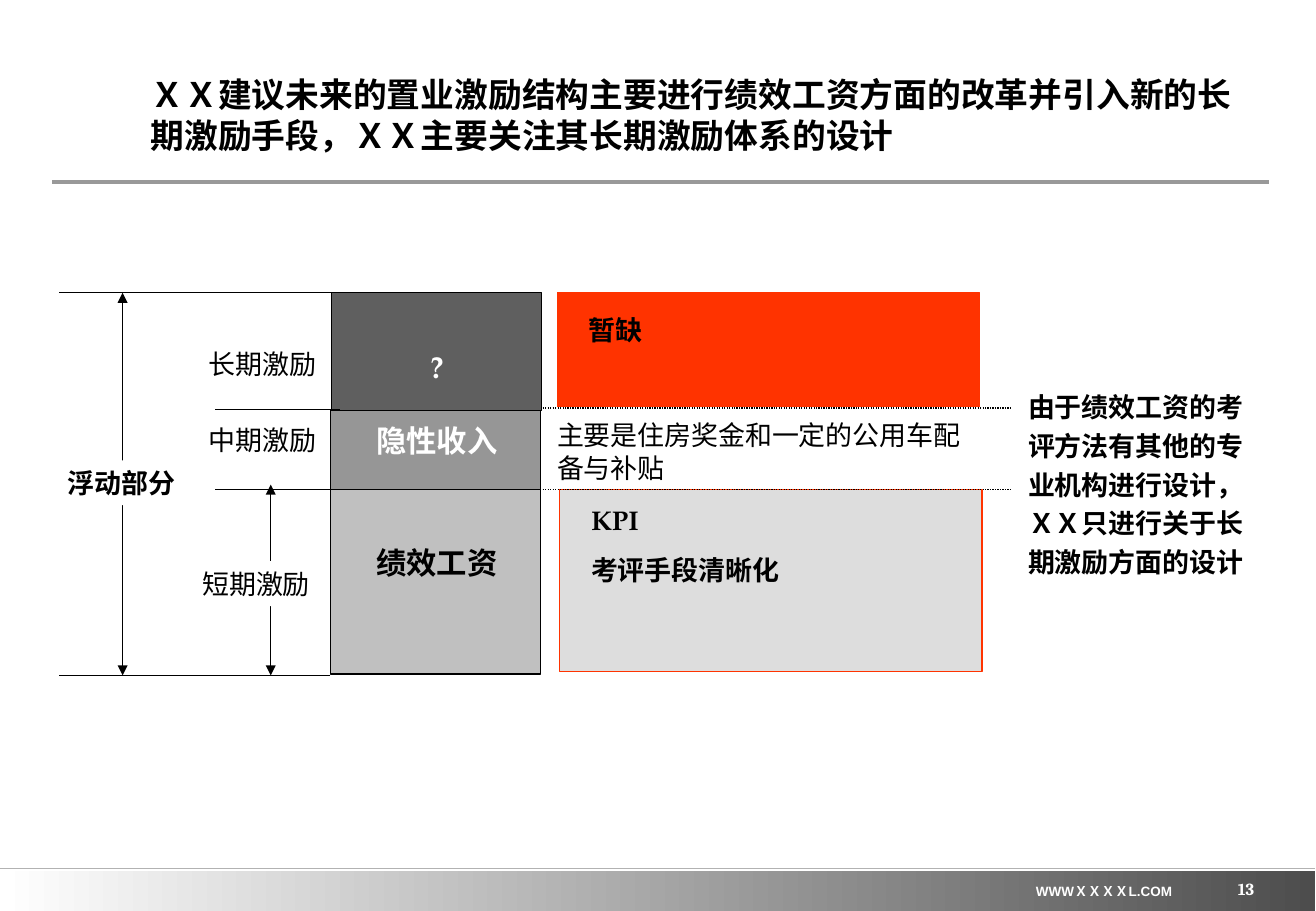
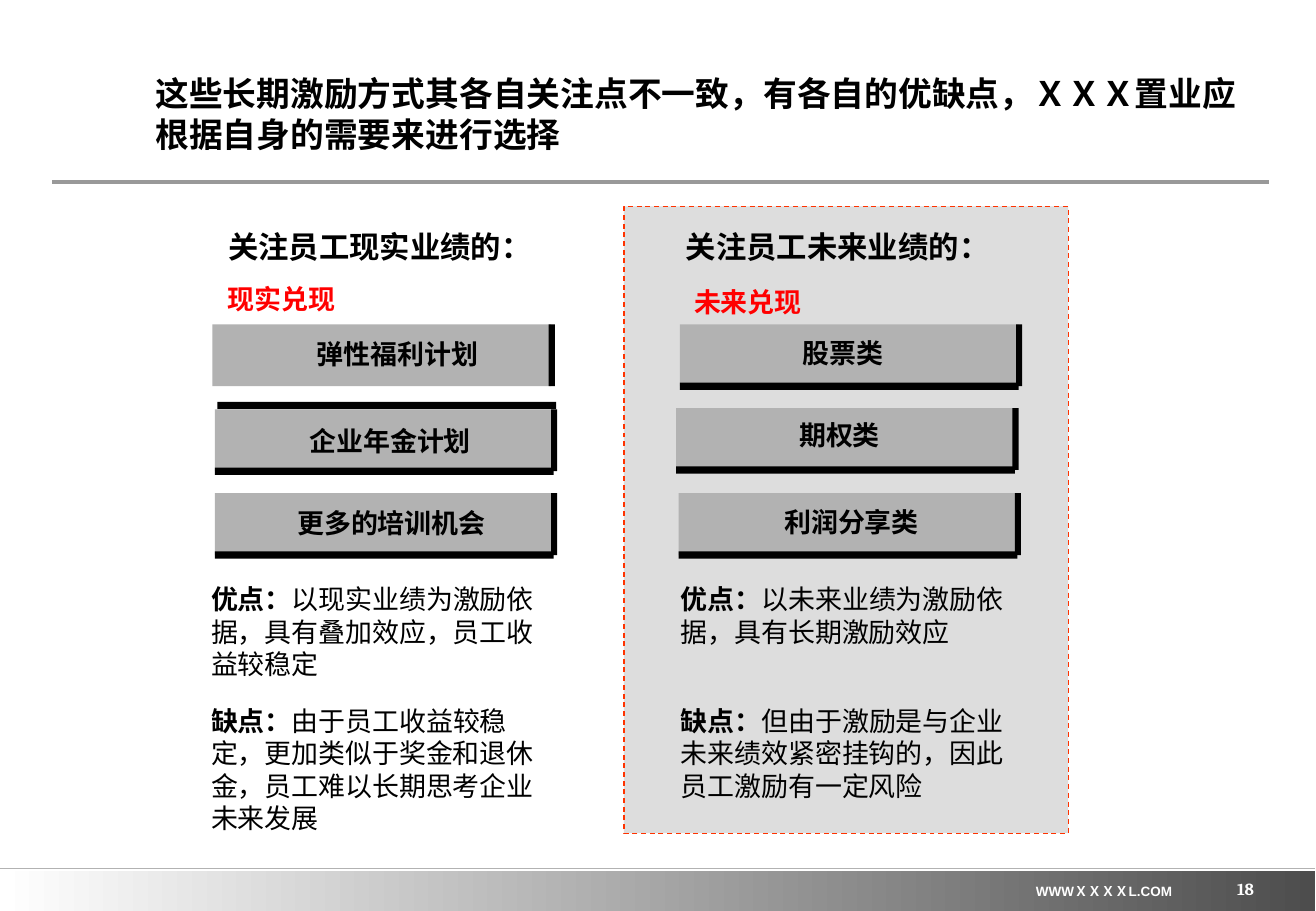
from dataclasses import dataclass, replace
from typing import NamedTuple, Optional

from lxml.etree import SubElement
from pptx import Presentation
from pptx.dml.color import RGBColor
from pptx.enum.dml import MSO_LINE_DASH_STYLE as Dash
from pptx.enum.shapes import MSO_CONNECTOR as Connector, MSO_SHAPE as Shape
from pptx.enum.text import MSO_ANCHOR as Anchor, PP_ALIGN as Align
from pptx.oxml.ns import qn
from pptx.util import Inches, Pt


@dataclass(frozen=True)
class Theme:
    black: str = "000000"
    white: str = "FFFFFF"
    red: str = "FF0000"
    orange: str = "FF3300"
    panel: str = "DDDDDD"
    card: str = "B2B2B2"
    rule: str = "999999"
    band_end: str = "4D4D4D"
    long_term: str = "5F5F5F"
    mid_term: str = "969696"
    short_term: str = "C0C0C0"
    cjk: str = "Noto Sans CJK SC"
    serif: str = "TeX Gyre Pagella"
    roman: str = "Times New Roman"
    sans: str = "Arial"
    number: str = "Cambria"
    title_size: float = 20
    heading_size: float = 18
    body_size: float = 16
    number_size: float = 10
    footer_size: float = 8
    leading: float = 1.2
    thin: float = 0.75


THEME = Theme()


class Box(NamedTuple):
    left: float
    top: float
    width: float
    height: float


@dataclass(frozen=True)
class TextStyle:
    size: float = THEME.body_size
    font: str = THEME.serif
    color: str = THEME.black
    bold: bool = False
    align: Align = Align.LEFT
    anchor: Anchor = Anchor.TOP
    wrap: bool = True
    side_inset: float = 0.1
    edge_inset: float = 0.05
    leading: float = THEME.leading
    space_before: float = 0


TITLE = TextStyle(THEME.title_size, THEME.cjk, bold=True, anchor=Anchor.MIDDLE,
                  side_inset=0, edge_inset=0)
NUMBER = TextStyle(THEME.number_size, THEME.number, THEME.white, True, Align.RIGHT,
                   Anchor.BOTTOM, side_inset=0, edge_inset=0)
BODY = TextStyle()
BOLD_BODY = TextStyle(bold=True, space_before=10)
LABEL = TextStyle(align=Align.CENTER, wrap=False, side_inset=0)
FOOTER = replace(LABEL, size=THEME.footer_size, font=THEME.sans, color=THEME.white, bold=True)
BAR_LABEL = replace(LABEL, size=THEME.heading_size, bold=True)
NOTE = TextStyle(font=THEME.cjk, bold=True, align=Align.CENTER, side_inset=0, edge_inset=0,
                 leading=1.44)
HEADING = replace(BAR_LABEL, font=THEME.roman)
TAG = replace(LABEL, font=THEME.roman, color=THEME.red, bold=True)
CARD_LABEL = replace(TAG, color=THEME.black)
POINT = TextStyle(font=THEME.roman)


def rgb(color: str) -> RGBColor:
    return RGBColor.from_string(color)


def add_rectangle(slide, box: Box, fill: str, line: Optional[str] = None,
                  dash: Optional[Dash] = None):
    shape = slide.shapes.add_shape(Shape.RECTANGLE, *map(Inches, box))
    shape.shadow.inherit = False
    shape.fill.solid()
    shape.fill.fore_color.rgb = rgb(fill)
    if line is None:
        shape.line.fill.background()
        return shape
    shape.line.color.rgb = rgb(line)
    shape.line.width = Pt(THEME.thin)
    if dash is not None:
        shape.line.dash_style = dash
    return shape


def add_line(slide, start: tuple[float, float], end: tuple[float, float],
             color: str = THEME.black, width: float = THEME.thin,
             dash: Optional[Dash] = None, arrows: bool = False) -> None:
    connector = slide.shapes.add_connector(Connector.STRAIGHT, *map(Inches, (*start, *end)))
    connector.line.color.rgb = rgb(color)
    connector.line.width = Pt(width)
    if dash is not None:
        connector.line.dash_style = dash
    properties = connector._element.spPr
    if arrows:
        for tag in ("a:headEnd", "a:tailEnd"):
            SubElement(properties.find(qn("a:ln")), qn(tag), type="triangle")
    SubElement(properties, qn("a:effectLst"))


def add_run(paragraph, text: str, style: TextStyle, bold: bool) -> None:
    run = paragraph.add_run()
    run.text = text
    for name, value in {"size": Pt(style.size), "name": style.font, "bold": bold}.items():
        setattr(run.font, name, value)
    run.font.color.rgb = rgb(style.color)
    SubElement(run._r.get_or_add_rPr(), qn("a:ea"), typeface=THEME.cjk)


def add_text(slide, box: Box, text: str, style: TextStyle,
             fill: Optional[str] = None, lead: str = "") -> None:
    """Write one paragraph per line of text, after an optional bold lead-in."""
    shape = slide.shapes.add_textbox(*map(Inches, box))
    if fill is not None:
        shape.fill.solid()
        shape.fill.fore_color.rgb = rgb(fill)
    frame = shape.text_frame
    side, edge = Inches(style.side_inset), Inches(style.edge_inset)
    frame_format = {
        "word_wrap": style.wrap, "vertical_anchor": style.anchor,
        "margin_left": side, "margin_right": side,
        "margin_top": edge, "margin_bottom": edge,
    }
    for name, value in frame_format.items():
        setattr(frame, name, value)
    for index, line in enumerate(text.split("\n")):
        paragraph = frame.add_paragraph() if index else frame.paragraphs[0]
        paragraph.alignment = style.align
        paragraph.line_spacing = Pt(style.size * style.leading)
        paragraph._p.get_or_add_pPr().set("hangingPunct", "0")
        if index:
            paragraph.space_before = Pt(style.space_before)
        if lead and not index:
            add_run(paragraph, lead, style, True)
        add_run(paragraph, line, style, style.bold)


def add_base_slide(presentation, title: str, title_box: Box, number: str):
    """Add a blank slide with the shared title, rules and footer band."""
    slide = presentation.slides.add_slide(presentation.slide_layouts[6])
    band = add_rectangle(slide, Box(0, 7.17, 10.83, 0.33), THEME.white)
    band.fill.gradient()
    band.fill.gradient_angle = 0
    for stop, position, color in zip(band.fill.gradient_stops, (0, 1),
                                     (THEME.white, THEME.band_end)):
        stop.position = position
        stop.color.rgb = rgb(color)
    add_line(slide, (0.43, 1.5), (10.45, 1.5), THEME.rule, 2.5)
    add_line(slide, (0, 7.15), (10.83, 7.15), THEME.card, 1)
    add_text(slide, Box(8.41, 7.22, 1.37, 0.24), "WWWＸＸＸＸL.COM", FOOTER)
    add_text(slide, Box(8.07, 7.07, 2.26, 0.33), number, NUMBER)
    add_text(slide, title_box, title, TITLE)
    return slide


def build_structure_slide(presentation) -> None:
    slide = add_base_slide(
        presentation,
        "ＸＸ建议未来的置业激励结构主要进行绩效工资方面的改革并引入新的长期激励手段，ＸＸ主要关注其长期激励体系的设计",
        Box(1.24, 0.58, 9.1, 0.73), "13")
    top, long_end, mid_end, bottom = 2.41, 3.37, 4.03, 5.56

    add_rectangle(slide, Box(4.61, mid_end, 3.48, 1.5), THEME.panel, THEME.orange)
    add_rectangle(slide, Box(4.59, top, 3.48, 0.94), THEME.orange, THEME.orange)
    add_rectangle(slide, Box(2.72, 3.38, 1.73, 0.65), THEME.mid_term, THEME.black)
    add_rectangle(slide, Box(2.72, mid_end, 1.73, 1.52), THEME.short_term, THEME.black)
    for y in (3.36, mid_end):
        add_line(slide, (4.04, y), (8.33, y), dash=Dash.ROUND_DOT)
    add_rectangle(slide, Box(2.73, top, 1.73, 0.97), THEME.long_term, THEME.black)

    for right, left, y in ((2.84, 0.49, top), (2.8, 1.77, long_end),
                           (2.8, 1.77, mid_end), (2.72, 0.49, bottom)):
        add_line(slide, (right, y), (left, y))
    for x, start in ((1.01, top), (2.23, 3.99)):
        add_line(slide, (x, start), (x, bottom), arrows=True)

    for y, text, color in ((2.82, "?", THEME.white), (3.43, "隐性收入", THEME.white),
                           (4.43, "绩效工资", THEME.black)):
        add_text(slide, Box(3, y, 1.2, 0.4), text, replace(BAR_LABEL, color=color))
    for x, y, text, bold in ((1.62, 2.81, "长期激励", False), (1.62, 3.44, "中期激励", False),
                             (1.57, 4.62, "短期激励", False), (0.46, 3.79, "浮动部分", True)):
        add_text(slide, Box(x, y, 1.08, 0.37), text, replace(LABEL, bold=bold), THEME.white)

    add_text(slide, Box(4.75, 2.53, 2.44, 0.37), "暂缺", BOLD_BODY)
    add_text(slide, Box(4.49, 3.4, 3.68, 0.64), "主要是住房奖金和一定的公用车配备与补贴", BODY)
    add_text(slide, Box(4.77, 4.1, 2.82, 1.18), "KPI\n考评手段清晰化", BOLD_BODY)
    add_text(slide, Box(8.37, 3.16, 1.97, 1.6),
             "由于绩效工资的考评方法有其他的专业机构进行设计，ＸＸ只进行关于长期激励方面的设计", NOTE)


@dataclass(frozen=True)
class Card:
    left: float
    top: float
    text: str
    text_shift: float
    text_drop: float
    bar_shift: float = 0
    bar_drop: float = 0.48


@dataclass(frozen=True)
class Column:
    heading: str
    heading_left: float
    tag: str
    tag_left: float
    tag_top: float
    cards: tuple[Card, ...]
    points_left: float
    advantage: str
    drawback: str


COLUMNS = (
    Column("关注员工现实业绩的：", 1.78, "现实兑现", 1.78, 2.28,
           (Card(1.75, 2.67, "弹性福利计划", 0.13, 0.06, 0.04, 0.64),
            Card(1.77, 3.37, "企业年金计划", 0.05, 0.08),
            Card(1.77, 4.06, "更多的培训机会", 0.06, 0.06)),
           1.64, "以现实业绩为激励依据，具有叠加效应，员工收益较稳定",
           "由于员工收益较稳定，更加类似于奖金和退休金，员工难以长期思考企业未来发展"),
    Column("关注员工未来业绩的：", 5.55, "未来兑现", 5.62, 2.3,
           (Card(5.6, 2.67, "股票类", -0.05, 0.05),
            Card(5.57, 3.36, "期权类", -0.05, 0.04),
            Card(5.59, 4.06, "利润分享类", 0.03, 0.05)),
           5.51, "以未来业绩为激励依据，具有长期激励效应",
           "但由于激励是与企业未来绩效紧密挂钩的，因此员工激励有一定风险"),
)


def add_card(slide, card: Card) -> None:
    width, height = 2.79, 0.51
    add_rectangle(slide, Box(card.left, card.top, width, height), THEME.card)
    add_rectangle(slide, Box(card.left + card.bar_shift, card.top + card.bar_drop, width, 0.06),
                  THEME.black)
    add_rectangle(slide, Box(card.left + 2.77, card.top, 0.05, height), THEME.black)
    add_text(slide, Box(card.left + card.text_shift, card.top + card.text_drop, width, 0.37),
             card.text, CARD_LABEL)


def build_comparison_slide(presentation) -> None:
    slide = add_base_slide(
        presentation,
        "这些长期激励方式其各自关注点不一致，有各自的优缺点，ＸＸＸ置业应根据自身的需要来进行选择",
        Box(1.28, 0.56, 9.03, 0.75), "18")
    add_rectangle(slide, Box(5.14, 1.7, 3.66, 5.16), THEME.panel, THEME.orange, Dash.DASH)
    for column in COLUMNS:
        add_text(slide, Box(column.heading_left, 1.83, 2.7, 0.4), column.heading, HEADING)
        for card in column.cards:
            add_card(slide, card)
        add_text(slide, Box(column.tag_left, column.tag_top, 1.08, 0.37), column.tag, TAG)
        for y, height, lead, text in ((4.75, 0.9, "优点：", column.advantage),
                                      (5.75, 1.17, "缺点：", column.drawback)):
            add_text(slide, Box(column.points_left, y, 2.98, height), text, POINT, lead=lead)


def main() -> None:
    presentation = Presentation()
    presentation.slide_width = Inches(10.84)
    presentation.slide_height = Inches(7.5)
    build_structure_slide(presentation)
    build_comparison_slide(presentation)
    presentation.save("out.pptx")


if __name__ == "__main__":
    main()
